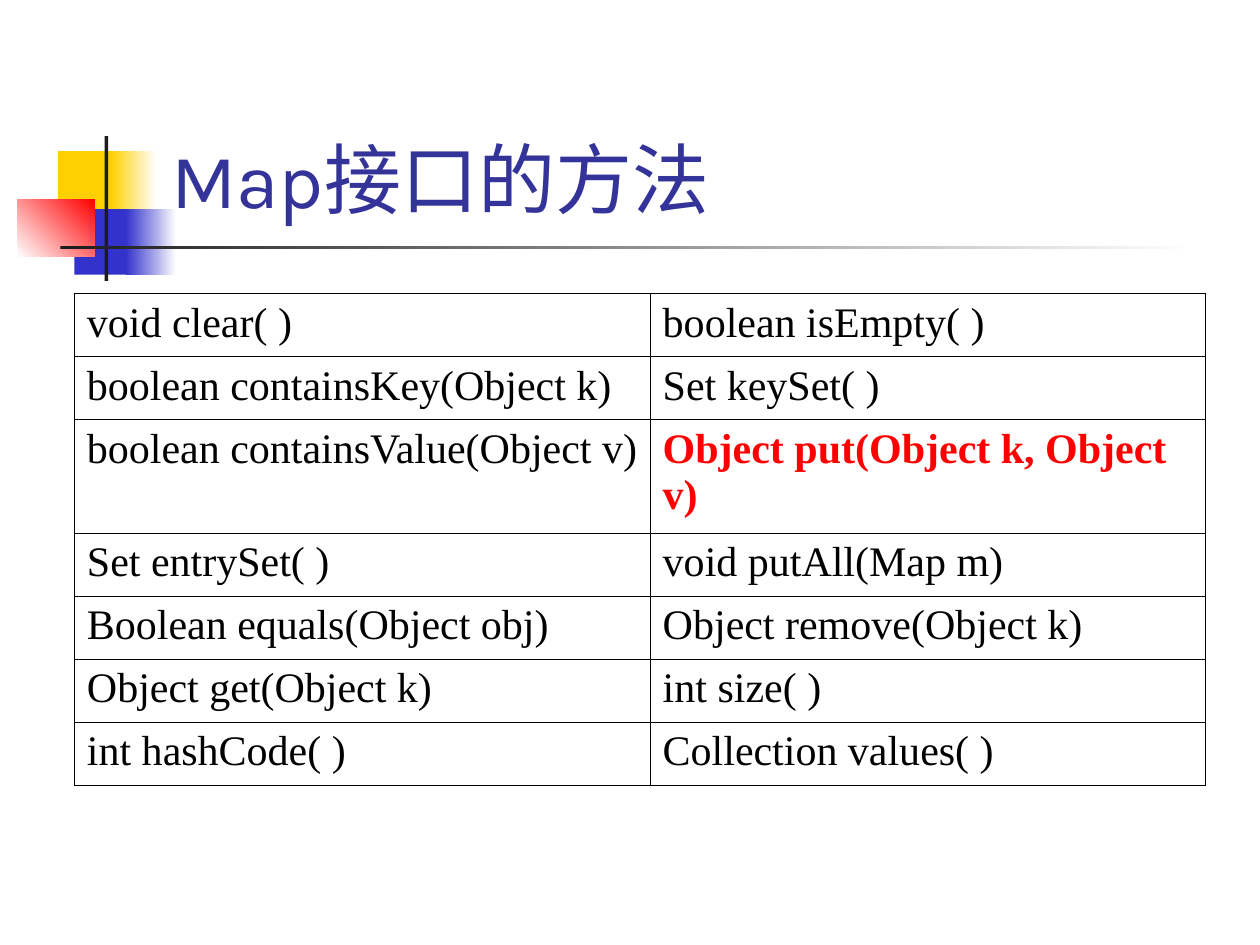
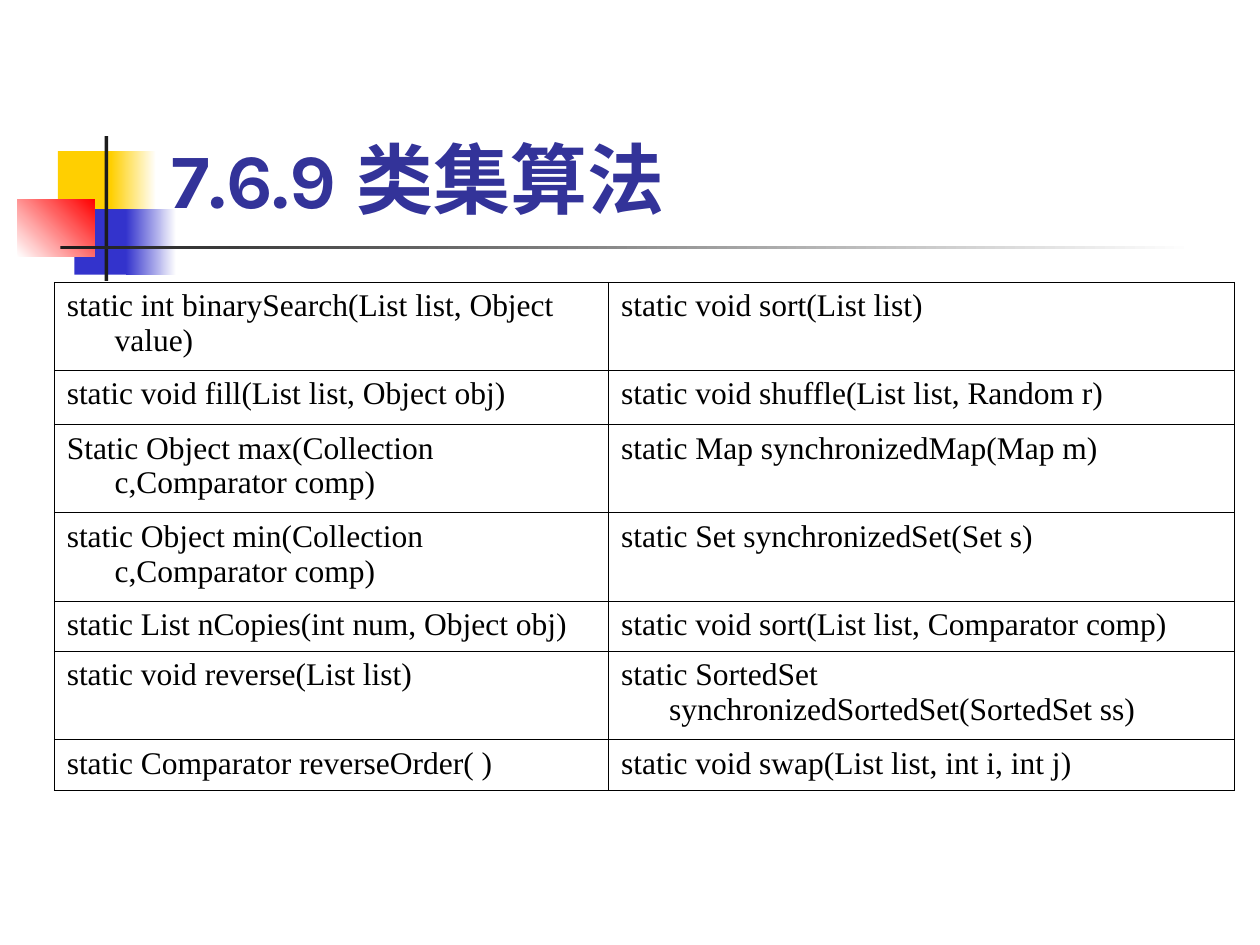
import dataclasses

import lxml.etree
import pptx
import pptx.dml.color
import pptx.enum.shapes
import pptx.enum.text
import pptx.oxml.ns
import pptx.util

Inches = pptx.util.Inches
Pt = pptx.util.Pt


@dataclasses.dataclass(frozen=True)
class Theme:
    title_font: str = "Karla"
    table_font: str = "Times New Roman"
    title_size: int = 44
    border_width: float = 0.45
    navy: str = "333399"
    black: str = "000000"
    white: str = "FFFFFF"
    red: str = "FF0000"
    yellow: str = "FFCF01"
    blue: str = "3333CC"
    charcoal: str = "1C1C1C"


THEME = Theme()

# Content: title, table position, column widths, row heights and cell texts
SLIDES = [
    {
        "title": "Map接口的方法",
        "title_bold": False,
        "title_indent": 0,
        "table_at": (0.59, 2.33),
        "columns": (4.57, 4.41),
        "row_heights": (0.5, 0.5, 0.9, 0.5, 0.5, 0.5, 0.5),
        "text_size": 24,
        "hanging_indent": 0,
        "highlight": "Object put(Object k, Object v)",
        "rows": [
            ("void clear( )", "boolean isEmpty( )"),
            ("boolean containsKey(Object k)", "Set keySet( )"),
            ("boolean containsValue(Object v)", "Object put(Object k, Object v)"),
            ("Set entrySet( )", "void putAll(Map m)"),
            ("Boolean equals(Object obj)", "Object remove(Object k)"),
            ("Object get(Object k)", "int size( )"),
            ("int hashCode( )", "Collection values( )"),
        ],
    },
    {
        "title": "7.6.9 类集算法",
        "title_bold": True,
        "title_indent": 0.92,
        "table_at": (0.43, 2.24),
        "columns": (4.4, 4.97),
        "row_heights": (0.7, 0.43, 0.7, 0.7, 0.4, 0.7, 0.4),
        "text_size": 18,
        "hanging_indent": 0.38,
        "highlight": None,
        "rows": [
            ("static int binarySearch(List list, Object value)", "static void sort(List list)"),
            ("static void fill(List list, Object obj)", "static void shuffle(List list, Random r)"),
            ("Static Object max(Collection c,Comparator comp)", "static Map synchronizedMap(Map m)"),
            ("static Object min(Collection c,Comparator comp)", "static Set synchronizedSet(Set s)"),
            ("static List nCopies(int num, Object obj)", "static void sort(List list, Comparator comp)"),
            ("static void reverse(List list)", "static SortedSet synchronizedSortedSet(SortedSet ss)"),
            ("static Comparator reverseOrder( )", "static void swap(List list, int i, int j)"),
        ],
    },
]

# Shared decoration: left, top, width, height, colours (one or two), angle
DECORATION = [
    (0.46, 1.2, 0.48, 0.52, (THEME.yellow,), 0),
    (0.88, 1.2, 0.36, 0.52, (THEME.yellow, THEME.white), 0),
    (0.59, 1.66, 0.46, 0.52, (THEME.blue,), 0),
    (1, 1.66, 0.4, 0.52, (THEME.blue, THEME.white), 0),
    (0.14, 1.58, 0.61, 0.46, (THEME.white, THEME.red), 45),
    (0.83, 1.08, 0.03, 1.15, (THEME.charcoal,), 0),
    (0.48, 1.95, 9, 0.03, (THEME.charcoal, THEME.white), 0),
]
TITLE_AT = (1.26, 0.23, 8.52, 1.6)


def rgb(color):
    return pptx.dml.color.RGBColor.from_string(color)


def write_text(text_frame, text, *, font, size, color, bold=False, indent=0):
    paragraph = text_frame.paragraphs[0]
    paragraph.alignment = pptx.enum.text.PP_ALIGN.LEFT
    if indent:
        properties = paragraph._p.get_or_add_pPr()
        properties.set("marL", str(Inches(indent)))
        properties.set("indent", str(-Inches(indent)))
    run = paragraph.add_run()
    run.text = text
    run.font.name = font
    run.font.size = Pt(size)
    run.font.bold = bold
    run.font.color.rgb = rgb(color)


def decorate_layout(layout, slide):
    """Draw the blocks and rules, then move them to the layout."""
    for number, (*box, colors, angle) in enumerate(DECORATION):
        shape = slide.shapes.add_shape(
            pptx.enum.shapes.MSO_SHAPE.RECTANGLE, *map(Inches, box))
        shape.shadow.inherit = False
        shape.line.fill.background()
        if len(colors) == 1:
            shape.fill.solid()
            shape.fill.fore_color.rgb = rgb(colors[0])
        else:
            shape.fill.gradient()
            shape.fill.gradient_angle = angle
            for stop, color in zip(shape.fill.gradient_stops, colors):
                stop.color.rgb = rgb(color)
        shape.element.nvSpPr.cNvPr.set("id", str(100 + number))
        layout.shapes.element.append(shape.element)


def add_title(slide, content):
    title = slide.shapes.title
    title.left, title.top, title.width, title.height = map(Inches, TITLE_AT)
    text_frame = title.text_frame
    text_frame.word_wrap = True
    text_frame.auto_size = pptx.enum.text.MSO_AUTO_SIZE.NONE
    text_frame.vertical_anchor = pptx.enum.text.MSO_ANCHOR.BOTTOM
    write_text(text_frame, content["title"], font=THEME.title_font,
               size=THEME.title_size, color=THEME.navy,
               bold=content["title_bold"], indent=content["title_indent"])


def outline_cell(cell):
    properties = cell._tc.get_or_add_tcPr()
    qn = pptx.oxml.ns.qn
    for position, side in enumerate(("lnL", "lnR", "lnT", "lnB")):
        line = lxml.etree.Element(qn(f"a:{side}"), w=str(Pt(THEME.border_width)))
        fill = lxml.etree.SubElement(line, qn("a:solidFill"))
        lxml.etree.SubElement(fill, qn("a:srgbClr"), val=THEME.black)
        properties.insert(position, line)


def add_method_table(slide, content):
    rows, columns, heights = content["rows"], content["columns"], content["row_heights"]
    box = (*content["table_at"], sum(columns), sum(heights))
    table = slide.shapes.add_table(len(rows), len(columns), *map(Inches, box)).table
    table.first_row = table.horz_banding = False
    for column, width in zip(table.columns, columns):
        column.width = Inches(width)
    for row, height, texts in zip(table.rows, heights, rows):
        row.height = Inches(height)
        for cell, text in zip(row.cells, texts):
            highlighted = text == content["highlight"]
            cell.fill.background()
            outline_cell(cell)
            write_text(cell.text_frame, text, font=THEME.table_font,
                       size=content["text_size"],
                       color=THEME.red if highlighted else THEME.black,
                       bold=highlighted, indent=content["hanging_indent"])


def main():
    presentation = pptx.Presentation()
    presentation.slide_width = Inches(10)
    presentation.slide_height = Inches(7.5)
    layout = presentation.slide_layouts.get_by_name("Title Only")
    for number, content in enumerate(SLIDES):
        slide = presentation.slides.add_slide(layout)
        if number == 0:
            decorate_layout(layout, slide)
        add_title(slide, content)
        add_method_table(slide, content)
    presentation.save("out.pptx")


if __name__ == "__main__":
    main()
